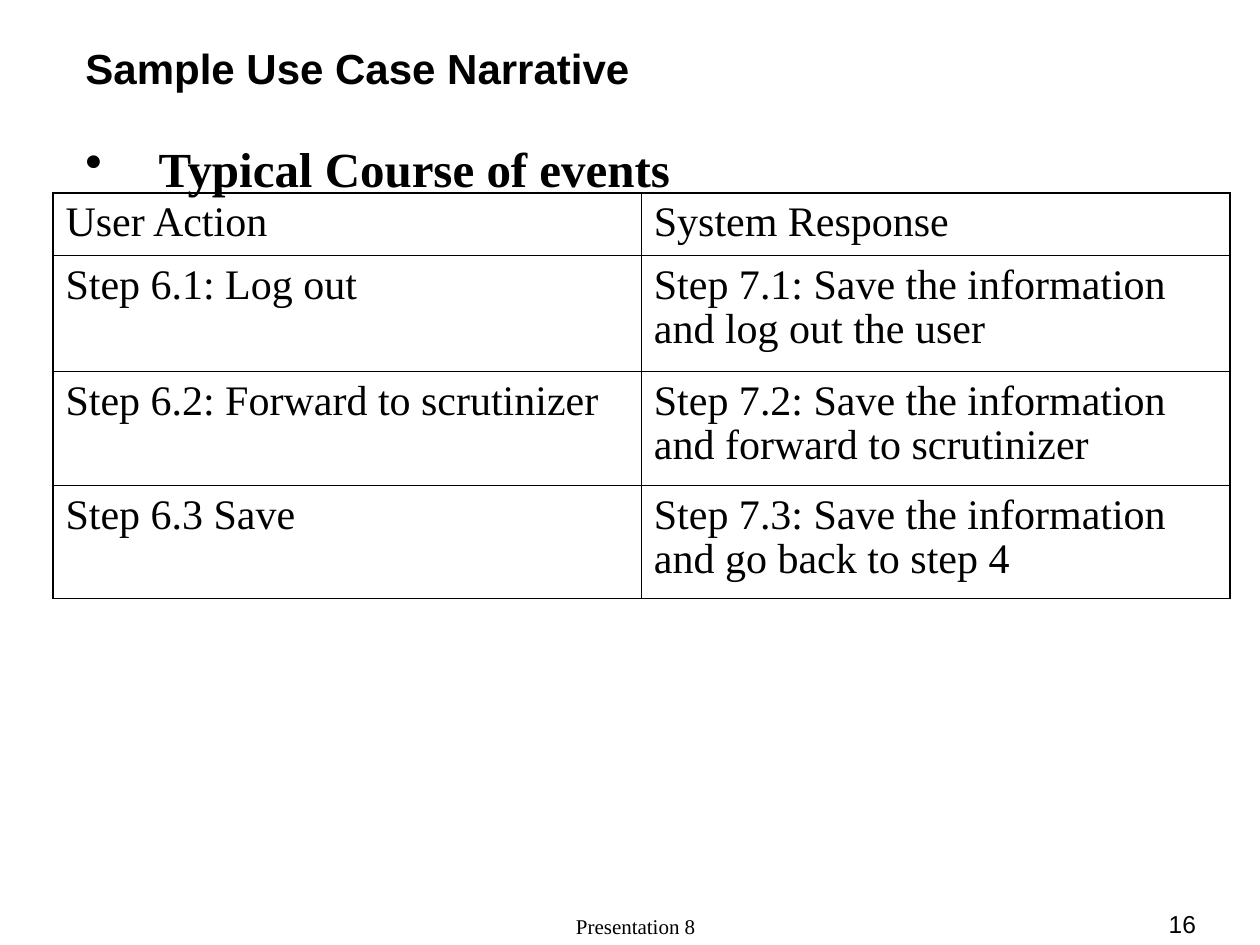
"""Build the use case narrative slide with its table of user actions and system responses."""
from lxml.etree import SubElement
from pptx import Presentation
from pptx.dml.color import RGBColor
from pptx.enum.text import MSO_ANCHOR as Anchor, PP_ALIGN as Align
from pptx.oxml.ns import qn
from pptx.util import Inches, Pt

BLACK = RGBColor(0, 0, 0)
SANS, SERIF = "Arial", "Times New Roman"
OUTER, INNER = 1.08, 0.45
COLUMN_WIDTH = 4.67
ROW_HEIGHTS = (0.5, 0.92, 0.9, 0.9)
EVENTS = (
    ("User Action", "System Response"),
    ("Step 6.1: Log out", "Step 7.1: Save the information and log out the user"),
    ("Step 6.2: Forward to scrutinizer",
     "Step 7.2: Save the information and forward to scrutinizer"),
    ("Step 6.3 Save", "Step 7.3: Save the information and go back to step 4"),
)


def write(frame, text, size, font=SERIF, bold=False, align=Align.LEFT, bullet=None, spacing=None):
    frame.word_wrap = True
    paragraph = frame.paragraphs[0]
    if bullet:
        properties = paragraph._p.get_or_add_pPr()
        properties.set("marL", str(Inches(0.58)))
        properties.set("indent", str(-Inches(0.58)))
        SubElement(properties, qn("a:buChar"), char=bullet)
    paragraph.alignment = align
    if spacing:
        paragraph.line_spacing = spacing
    run = paragraph.add_run()
    run.text = text
    run.font.name = font
    run.font.size = Pt(size)
    run.font.bold = bold
    run.font.color.rgb = BLACK


def add_text(slide, text, left, top, width, height, anchor, inset_top=0.05, **style):
    box = slide.shapes.add_textbox(Inches(left), Inches(top), Inches(width), Inches(height))
    frame = box.text_frame
    frame.vertical_anchor = anchor
    frame.margin_top = Inches(inset_top)
    write(frame, text, **style)


def set_borders(cell, widths):
    properties = cell._tc.get_or_add_tcPr()
    for position, (side, width) in enumerate(widths.items()):
        line = SubElement(properties, qn(f"a:ln{side}"), w=str(Pt(width)))
        fill = SubElement(line, qn("a:solidFill"))
        SubElement(fill, qn("a:srgbClr"), val=str(BLACK))
        properties.insert(position, line)


def add_events_table(slide, left, top):
    last_row, last_column = len(EVENTS) - 1, len(EVENTS[0]) - 1
    table = slide.shapes.add_table(
        len(EVENTS), len(EVENTS[0]), Inches(left), Inches(top),
        Inches(COLUMN_WIDTH * len(EVENTS[0])), Inches(sum(ROW_HEIGHTS))).table
    table.first_row = table.horz_banding = False
    for column in table.columns:
        column.width = Inches(COLUMN_WIDTH)
    for r, (height, texts) in enumerate(zip(ROW_HEIGHTS, EVENTS)):
        table.rows[r].height = Inches(height)
        for c, text in enumerate(texts):
            cell = table.cell(r, c)
            cell.fill.background()
            cell.margin_top = Inches(0.07)
            write(cell.text_frame, text, size=24, spacing=0.95)
            set_borders(cell, {
                "L": OUTER if c == 0 else INNER,
                "R": OUTER if c == last_column else INNER,
                "T": OUTER if r == 0 else INNER,
                "B": OUTER if r == last_row else INNER,
            })


def main():
    deck = Presentation()
    deck.slide_width, deck.slide_height = Inches(10), Inches(7.5)
    slide = deck.slides.add_slide(deck.slide_layouts[6])
    add_text(slide, "Presentation 8", 3.42, 7.25, 3.25, 0.25, Anchor.BOTTOM,
             size=12, align=Align.CENTER)
    add_text(slide, "16", 8.42, 7.25, 1.17, 0.25, Anchor.BOTTOM,
             size=14, font=SANS, align=Align.RIGHT)
    add_text(slide, "Sample Use Case Narrative", 0.58, 0.25, 9.42, 0.58, Anchor.MIDDLE,
             size=24, font=SANS, bold=True)
    add_text(slide, "Typical Course of events", 0.58, 1, 9.15, 0.58, Anchor.TOP,
             inset_top=0.1, size=28, bold=True, bullet="•")
    add_events_table(slide, 0.42, 1.53)
    deck.save("out.pptx")


if __name__ == "__main__":
    main()
